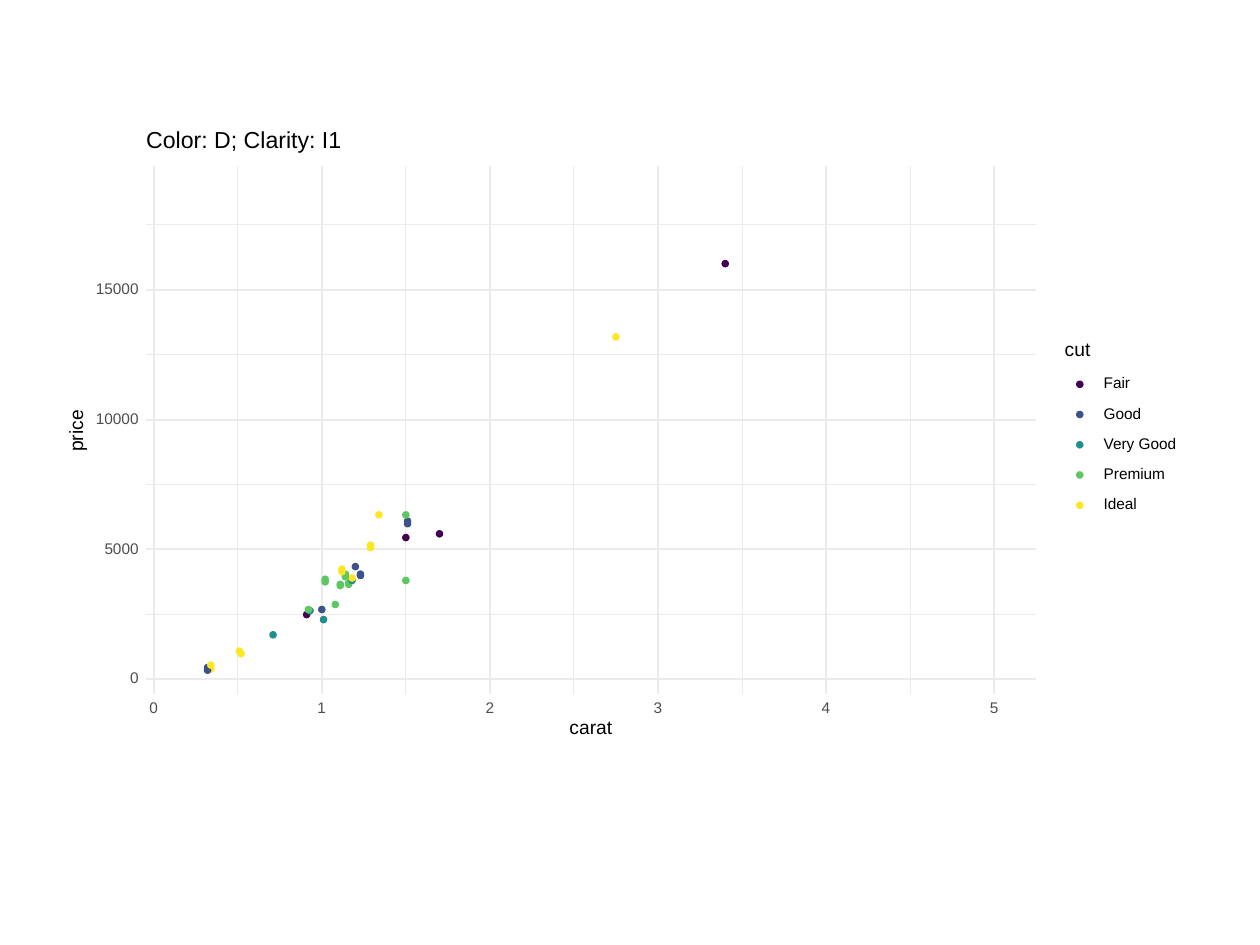
from pptx import Presentation
from pptx.dml.color import RGBColor
from pptx.enum.shapes import MSO_CONNECTOR, MSO_SHAPE
from pptx.enum.text import MSO_ANCHOR, MSO_AUTO_SIZE, PP_ALIGN
from pptx.oxml.ns import qn
from pptx.util import Inches, Pt
from lxml.etree import SubElement

COLORS = {
    "panel": "FFFFFF", "grid": "EBEBEB", "tick": "4D4D4D", "text": "000000",
    "Fair": "440154", "Good": "3B528B", "Very Good": "21908C",
    "Premium": "5DC863", "Ideal": "FDE725",
}
FONT = "Arial"
TITLE = "Color: D; Clarity: I1"
CUT_WIDTHS = {"Fair": 0.21, "Good": 0.3, "Very Good": 0.58, "Premium": 0.49, "Ideal": 0.27}

# (carat, price, cut), in drawing order
DIAMONDS = [
    (1.08, 2875, "Premium"), (1.11, 3604, "Premium"), (1.16, 3653, "Premium"),
    (1.11, 3653, "Premium"), (1.16, 3701, "Premium"), (1.02, 3750, "Premium"),
    (1.5, 3799, "Premium"), (1.18, 3799, "Very Good"), (1.02, 3847, "Premium"),
    (1.18, 3896, "Ideal"), (1.14, 3945, "Premium"), (1.23, 3993, "Good"),
    (1.14, 4042, "Premium"), (1.23, 4042, "Good"), (1.12, 4139, "Ideal"),
    (1.12, 4236, "Ideal"), (1.2, 4334, "Good"), (0.34, 394, "Ideal"),
    (1.29, 5063, "Ideal"), (1.29, 5161, "Ideal"), (1.5, 5452, "Fair"),
    (1.7, 5598, "Fair"), (1.51, 5988, "Good"), (1.51, 6085, "Good"),
    (1.5, 6328, "Premium"), (1.34, 6328, "Ideal"), (2.75, 13186, "Ideal"),
    (3.4, 16007, "Fair"), (0.32, 345, "Good"), (0.32, 443, "Good"),
    (0.52, 978, "Ideal"), (0.51, 1075, "Ideal"), (0.71, 1707, "Very Good"),
    (0.34, 540, "Ideal"), (1.01, 2291, "Very Good"), (0.91, 2486, "Fair"),
    (0.93, 2631, "Very Good"), (1.0, 2680, "Good"), (0.92, 2680, "Premium"),
]
CARAT_TICKS = range(6)
PRICE_TICKS = range(0, 15001, 5000)
CARAT_MINOR = [tick + 0.5 for tick in range(5)]
PRICE_MINOR = range(2500, 17501, 5000)

LEFT, RIGHT, TOP, BOTTOM = 1.16, 8.22, 1.32, 5.51
DOT = 0.05
TICK_SIZE, AXIS_SIZE, TITLE_SIZE = 8.8, 11, 13.2
TICK_HEIGHT, DIGIT_WIDTH = 0.09, 0.07
LEGEND_TOP, LEGEND_STEP = 3.05, 0.24


def x_of(carat):
    return 1.22 + carat * 6.67 / 5


def y_of(price):
    return 5.39 - price * 3.09 / 15000


def rgb(name):
    return RGBColor.from_string(COLORS[name])


def add_filled(slide, preset, left, top, width, height, color, line_width):
    shape = slide.shapes.add_shape(preset, Inches(left), Inches(top), Inches(width), Inches(height))
    shape.shadow.inherit = False
    shape.fill.solid()
    shape.fill.fore_color.rgb = rgb(color)
    shape.line.color.rgb = rgb(color)
    shape.line.width = Pt(line_width)
    return shape


def add_dot(slide, x, y, cut):
    add_filled(slide, MSO_SHAPE.OVAL, x - DOT / 2, y - DOT / 2, DOT, DOT, cut, 0.71)


def add_grid_line(slide, x1, y1, x2, y2, width):
    line = slide.shapes.add_connector(
        MSO_CONNECTOR.STRAIGHT, Inches(x1), Inches(y1), Inches(x2), Inches(y2))
    line.line.color.rgb = rgb("grid")
    line.line.width = Pt(width)
    SubElement(line.element.spPr, qn("a:effectLst"))


def add_grid(slide, carats, prices, width):
    for price in prices:
        add_grid_line(slide, LEFT, y_of(price), RIGHT, y_of(price), width)
    for carat in carats:
        add_grid_line(slide, x_of(carat), BOTTOM, x_of(carat), TOP, width)


def write(box, text, size, color="text", align=PP_ALIGN.LEFT):
    frame = box.text_frame
    frame.margin_left = frame.margin_right = frame.margin_top = frame.margin_bottom = 0
    frame.word_wrap = False
    frame.auto_size = MSO_AUTO_SIZE.NONE
    frame.vertical_anchor = MSO_ANCHOR.MIDDLE
    paragraph = frame.paragraphs[0]
    paragraph.alignment = align
    paragraph.line_spacing = Pt(size)
    run = paragraph.add_run()
    run.text = text
    run.font.name = FONT
    run.font.size = Pt(size)
    run.font.color.rgb = rgb(color)


def add_label(slide, text, left, top, width, height, size, **style):
    label = slide.shapes.add_textbox(Inches(left), Inches(top), Inches(width), Inches(height))
    write(label, text, size, **style)
    return label


def add_ticks(slide):
    for price in PRICE_TICKS:
        width = DIGIT_WIDTH * len(str(price))
        add_label(slide, str(price), 1.1 - width, y_of(price) - TICK_HEIGHT / 2, width,
                  TICK_HEIGHT, TICK_SIZE, color="tick", align=PP_ALIGN.RIGHT)
    for carat in CARAT_TICKS:
        add_label(slide, str(carat), x_of(carat) - DIGIT_WIDTH / 2, 5.58, DIGIT_WIDTH,
                  TICK_HEIGHT, TICK_SIZE, color="tick", align=PP_ALIGN.CENTER)


def add_legend(slide):
    add_label(slide, "cut", 8.45, 2.73, 0.2, 0.11, AXIS_SIZE)
    for row, (cut, width) in enumerate(CUT_WIDTHS.items()):
        middle = LEGEND_TOP + row * LEGEND_STEP
        add_dot(slide, 8.57, middle, cut)
        add_label(slide, cut, 8.76, middle - TICK_HEIGHT / 2, width, TICK_HEIGHT, TICK_SIZE)


def main():
    prs = Presentation()
    prs.slide_width, prs.slide_height = Inches(10), Inches(7.5)
    slide = prs.slides.add_slide(prs.slide_layouts[5])

    title = slide.shapes.title
    title.left, title.top = Inches(LEFT), Inches(1.04)
    title.width, title.height = Inches(1.55), Inches(0.17)
    write(title, TITLE, TITLE_SIZE)
    panel = add_filled(slide, MSO_SHAPE.RECTANGLE, 0.5, 1, 9, 4.95, "panel", 0.75)
    title.element.addprevious(panel.element)  # keep the panel behind the title

    add_grid(slide, CARAT_MINOR, PRICE_MINOR, 0.53)
    add_grid(slide, CARAT_TICKS, PRICE_TICKS, 1.07)
    for carat, price, cut in DIAMONDS:
        add_dot(slide, x_of(carat), y_of(price), cut)

    add_ticks(slide)
    add_label(slide, "carat", 4.52, 5.73, 0.34, 0.11, AXIS_SIZE, align=PP_ALIGN.CENTER)
    price_label = add_label(slide, "price", 0.45, 3.35, 0.33, 0.14, AXIS_SIZE,
                            align=PP_ALIGN.CENTER)
    price_label.rotation = 270
    add_legend(slide)
    prs.save("out.pptx")


if __name__ == "__main__":
    main()
